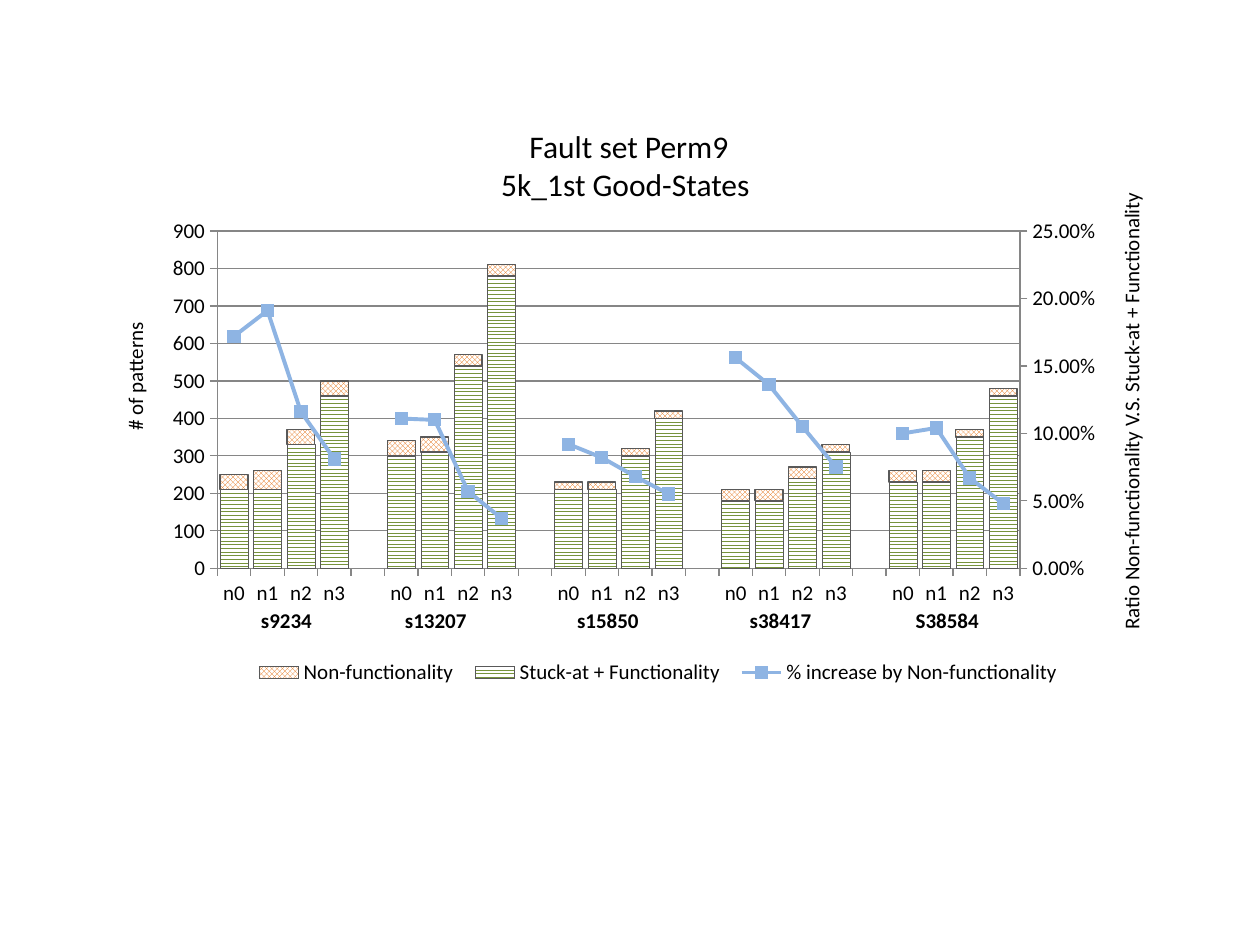
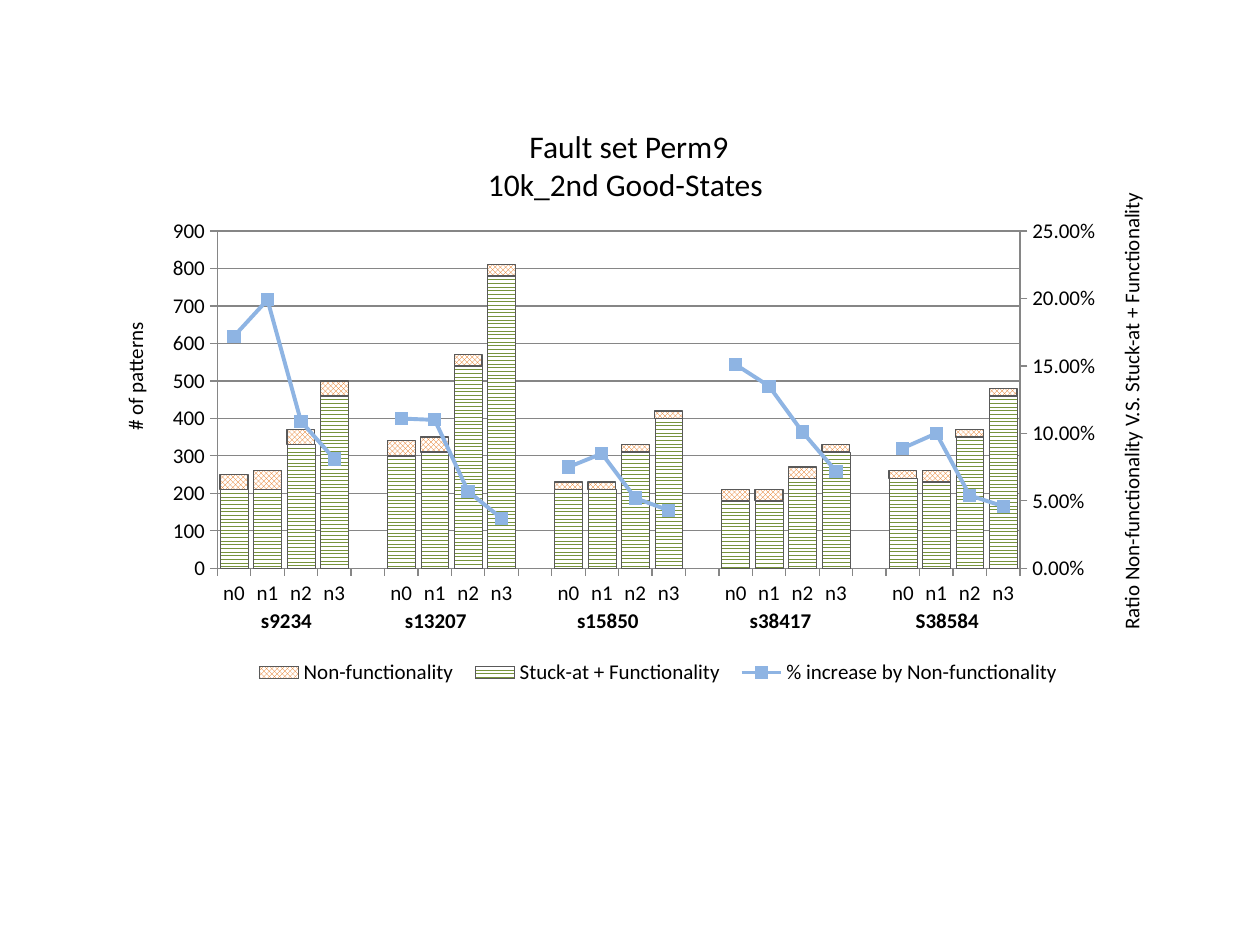
from copy import deepcopy
from dataclasses import dataclass

from pptx import Presentation
from pptx import util as u
from pptx.chart import axis as ax
from pptx.chart.chart import Chart
from pptx.chart.data import CategoryChartData
from pptx.dml.color import RGBColor
from pptx.enum import chart as xl
from pptx.enum import dml, text
from pptx.oxml import parse_xml
from pptx.oxml.ns import nsdecls, qn
from pptx.slide import Slide

# Shared look
FONT = "Calibri"
BLACK = RGBColor(0x00, 0x00, 0x00)
WHITE = RGBColor(0xFF, 0xFF, 0xFF)
GREEN = RGBColor(0x77, 0x93, 0x3C)
ORANGE = RGBColor(0xE4, 0x6C, 0x0A)
LIGHT_BLUE = RGBColor(0x8E, 0xB4, 0xE3)
MID_BLUE = RGBColor(0x55, 0x8E, 0xD5)
OUTLINE = RGBColor(0x59, 0x59, 0x59)
AXIS_GRAY = RGBColor(0x86, 0x86, 0x86)

SMALL = u.Pt(12)
LARGE = u.Pt(18)
DETECTIONS = ["n0", "n1", "n2", "n3"]
TITLE_ONLY = 5
RIGHT_CAT_ID, RIGHT_VAL_ID = "50010", "50020"

Groups = list[list[float]]


@dataclass(frozen=True)
class Label:
    text: str
    left: float
    top: float
    width: float
    height: float = 0.76
    bold: bool = False
    rotation: int = 0


@dataclass(frozen=True)
class GoodStates:
    """Results for one set of good states, one group of four per circuit."""
    name: str
    stuck_at: Groups
    non_functional: Groups
    increase: Groups


@dataclass(frozen=True)
class BarStyle:
    pattern: dml.MSO_PATTERN
    color: RGBColor
    line_width: float


BAR_STYLES = [
    BarStyle(dml.MSO_PATTERN.ZIG_ZAG, GREEN, 0.25),
    BarStyle(dml.MSO_PATTERN.TRELLIS, ORANGE, 0.75),
]

CIRCUITS = [("s9234", 4.57), ("s13207", 7.58), ("s15850", 11.05),
            ("s38417", 14.53), ("S38584", 17.89)]
LABELS = [Label(name, left, 12.12, 2.41, bold=True) for name, left in CIRCUITS] + [
    Label("# of patterns", 0.46, 7.21, 4.52, rotation=270),
    Label("Ratio Non-functionality V.S. Stuck-at + Functionality ",
          17.4, 7.86, 10.8, rotation=270),
]

RESULTS = [
    GoodStates(
        "5k_1st Good-States ",
        [[210, 210, 330, 460], [300, 310, 540, 780], [210, 210, 300, 400],
         [180, 180, 240, 310], [230, 230, 350, 460]],
        [[40, 50, 40, 40], [40, 40, 30, 30], [20, 20, 20, 20],
         [30, 30, 30, 20], [30, 30, 20, 20]],
        [[0.172, 0.191, 0.116, 0.081], [0.111, 0.11, 0.057, 0.037],
         [0.092, 0.082, 0.068, 0.055], [0.156, 0.136, 0.105, 0.075],
         [0.1, 0.104, 0.067, 0.048]],
    ),
    GoodStates(
        "10k_2nd Good-States ",
        [[210, 210, 330, 460], [300, 310, 540, 780], [210, 210, 310, 400],
         [180, 180, 240, 310], [240, 230, 350, 460]],
        [[40, 50, 40, 40], [40, 40, 30, 30], [20, 20, 20, 20],
         [30, 30, 30, 20], [20, 30, 20, 20]],
        [[0.172, 0.199, 0.109, 0.081], [0.111, 0.11, 0.057, 0.037],
         [0.075, 0.085, 0.052, 0.043], [0.151, 0.135, 0.101, 0.072],
         [0.089, 0.1, 0.054, 0.046]],
    ),
]


def spaced(groups: list[list], gap) -> list:
    """Join the circuit groups, with one gap entry between neighbours."""
    joined = list(groups[0])
    for group in groups[1:]:
        joined += [gap, *group]
    return joined


def format_paragraph(p, size: int, bold: bool = False) -> None:
    p.alignment = text.PP_ALIGN.CENTER
    p.font.name = FONT
    p.font.size = size
    p.font.bold = bold
    p.font.color.rgb = BLACK


def add_title(slide: Slide, subtitle: str) -> None:
    sp = slide.shapes.title
    sp.left, sp.top, sp.width, sp.height = map(u.Cm, (9.34, 2.42, 6.68, 1.8))
    tf = sp.text_frame
    tf.text = f"Fault set Perm9\n{subtitle}"
    tf.auto_size = text.MSO_AUTO_SIZE.NONE
    for p in tf.paragraphs:
        format_paragraph(p, LARGE)


def add_label(slide: Slide, label: Label) -> None:
    sp = slide.shapes.add_textbox(
        *map(u.Cm, (label.left, label.top, label.width, label.height)))
    sp.rotation = label.rotation
    tf = sp.text_frame
    tf.word_wrap = True
    p = tf.paragraphs[0]
    p.text = label.text
    format_paragraph(p, SMALL, label.bold)


def manual_layout(x: float, y: float, w: float, h: float, inner: bool = False):
    target = '<c:layoutTarget val="inner"/>' if inner else ""
    return parse_xml(
        f'<c:layout {nsdecls("c")}><c:manualLayout>{target}'
        '<c:xMode val="edge"/><c:yMode val="edge"/>'
        f'<c:x val="{x}"/><c:y val="{y}"/><c:w val="{w}"/><c:h val="{h}"/>'
        '</c:manualLayout></c:layout>')


def style_axis(axis, number_format: str | None = None) -> None:
    axis.major_tick_mark = xl.XL_TICK_MARK.OUTSIDE
    axis.minor_tick_mark = xl.XL_TICK_MARK.NONE
    axis.tick_labels.font.size = SMALL
    axis.format.line.color.rgb = AXIS_GRAY
    axis.format.line.width = u.Pt(0.75)
    if number_format:
        axis.tick_labels.number_format = number_format
        axis.tick_labels.number_format_is_linked = False


def set_scale(axis, maximum: float, step: float) -> None:
    axis.minimum_scale = 0
    axis.maximum_scale = maximum
    axis.major_unit = step


def set_crossing(axis_element, mode: str) -> None:
    for tag in ("c:crosses", "c:crossesAt"):
        for old in axis_element.findall(qn(tag)):
            axis_element.remove(old)
    axis_element.find(qn("c:crossAx")).addnext(
        parse_xml(f'<c:crosses {nsdecls("c")} val="{mode}"/>'))


def move_last_series_to_line(chart: Chart) -> None:
    """Draw the last series as a line against a percentage axis on the right."""
    bars = chart.plots[0]
    ser = bars.series[-1]._element
    inverted = ser.find(qn("c:invertIfNegative"))
    if inverted is not None:
        ser.remove(inverted)
    line = parse_xml(
        f'<c:lineChart {nsdecls("c")}><c:grouping val="standard"/>'
        '<c:varyColors val="0"/><c:marker val="1"/>'
        f'<c:axId val="{RIGHT_CAT_ID}"/><c:axId val="{RIGHT_VAL_ID}"/></c:lineChart>')
    line.insert(2, ser)
    bars._element.addnext(line)

    # Secondary axes start as copies of the primary ones
    cat, val = chart.category_axis._element, chart.value_axis._element
    right_cat, right_val = deepcopy(cat), deepcopy(val)
    val.addnext(right_val)
    right_val.addnext(right_cat)
    for el, own, other in ((right_cat, RIGHT_CAT_ID, RIGHT_VAL_ID),
                           (right_val, RIGHT_VAL_ID, RIGHT_CAT_ID)):
        el.find(qn("c:axId")).set("val", own)
        el.find(qn("c:crossAx")).set("val", other)
    right_val.find(qn("c:axPos")).set("val", "r")
    set_crossing(right_val, "max")
    set_crossing(right_cat, "autoZero")

    ax.CategoryAxis(right_cat).visible = False
    right_cat.find(qn("c:delete")).set("val", "1")
    ratio = ax.ValueAxis(right_val)
    ratio.has_major_gridlines = False
    style_axis(ratio, "0.00%")
    set_scale(ratio, 0.25, 0.05)


def add_pattern_chart(slide: Slide, result: GoodStates) -> None:
    data = CategoryChartData()
    data.categories = spaced([DETECTIONS] * len(CIRCUITS), "")
    data.add_series("Stuck-at + Functionality", spaced(result.stuck_at, None))
    data.add_series("Non-functionality", spaced(result.non_functional, None))
    data.add_series("% increase by Non-functionality",
                    spaced(result.increase, None), "0.00%")
    chart = slide.shapes.add_chart(
        xl.XL_CHART_TYPE.COLUMN_STACKED,
        *map(u.Cm, (2.11, 2.72, 20.1, 11.53)), data).chart
    chart.has_title = False
    chart.font.name = FONT
    chart.font.size = LARGE
    chart.font.color.rgb = BLACK

    # Axes
    style_axis(chart.category_axis)
    counts = chart.value_axis
    style_axis(counts, "General")
    set_scale(counts, 900, 100)
    counts.has_major_gridlines = True
    counts.major_gridlines.format.line.color.rgb = AXIS_GRAY
    counts.major_gridlines.format.line.width = u.Pt(0.75)

    # Stacked bars
    move_last_series_to_line(chart)
    bars, line = chart.plots
    bars.gap_width = 20
    bars.overlap = 100
    bars.vary_by_categories = False
    for series, style in zip(bars.series, BAR_STYLES):
        fill = series.format.fill
        fill.patterned()
        fill.pattern = style.pattern
        fill.fore_color.rgb = style.color
        fill.back_color.rgb = WHITE
        series.format.line.color.rgb = OUTLINE
        series.format.line.width = u.Pt(style.line_width)

    # Ratio line
    ratio = line.series[0]
    ratio.smooth = False
    ratio.format.line.color.rgb = LIGHT_BLUE
    ratio.format.line.width = u.Pt(2.25)
    ratio.marker.style = xl.XL_MARKER_STYLE.SQUARE
    ratio.marker.size = 7
    ratio.marker.format.fill.solid()
    ratio.marker.format.fill.fore_color.rgb = MID_BLUE
    ratio.marker.format.line.color.rgb = LIGHT_BLUE

    # Legend and plot placement
    chart.has_legend = True
    legend = chart.legend
    legend.position = xl.XL_LEGEND_POSITION.RIGHT
    legend.include_in_layout = False
    legend.font.size = SMALL
    for old in legend._element.findall(qn("c:layout")):
        legend._element.remove(old)
    legend._element.find(qn("c:legendPos")).addnext(
        manual_layout(0.14, 0.91, 0.83, 0.06))
    plot_area = bars._element.getparent()
    for old in plot_area.findall(qn("c:layout")):
        plot_area.remove(old)
    plot_area.insert(0, manual_layout(0.113, 0.168, 0.805, 0.59, inner=True))


def main() -> None:
    prs = Presentation()
    prs.slide_width, prs.slide_height = u.Cm(25.4), u.Cm(19.05)
    for result in RESULTS:
        slide = prs.slides.add_slide(prs.slide_layouts[TITLE_ONLY])
        add_pattern_chart(slide, result)
        add_title(slide, result.name)
        for label in LABELS:
            add_label(slide, label)
    prs.save("out.pptx")


if __name__ == "__main__":
    main()
